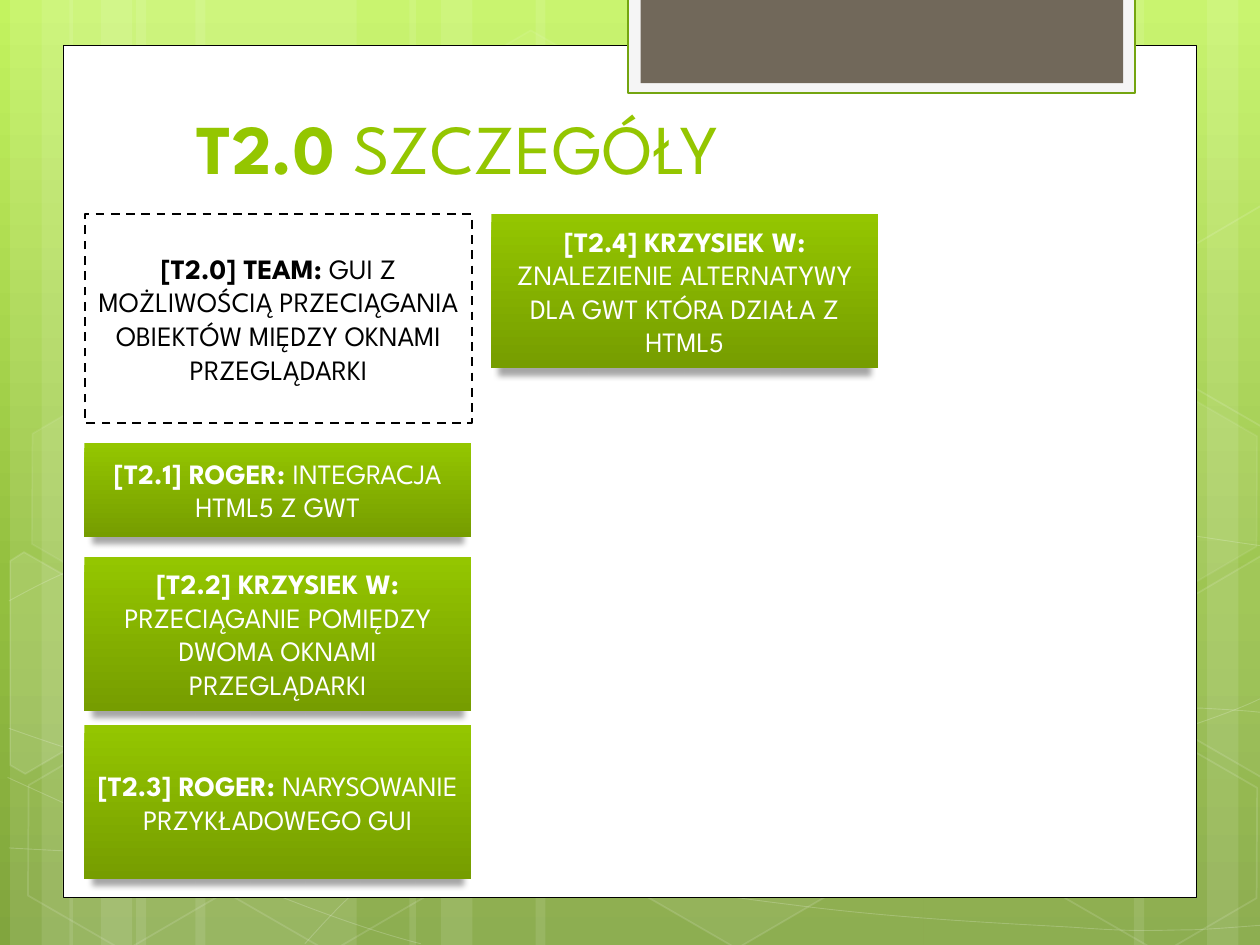
from dataclasses import dataclass
from math import cos, radians, sin
from lxml.etree import SubElement
from pptx import Presentation
from pptx.dml.color import RGBColor as RGB
from pptx.enum.dml import MSO_LINE_DASH_STYLE as DASH
from pptx.enum.shapes import MSO_SHAPE as SHAPE
from pptx.enum.text import MSO_ANCHOR as ANCHOR, MSO_AUTO_SIZE as AUTO, PP_ALIGN as ALIGN
from pptx.oxml.ns import qn
from pptx.util import Inches, Pt

COLORS = {"white": "FFFFFF", "black": "000000", "lime": "94C600", "moss": "769D00",
          "edge": "74A510", "tab": "F5F5F5", "stone": "71685A",
          "sky": "C3F35F", "leaf": "93BF3F", "grass": "81A53E"}
FONT = "League Spartan"
COLS, ROWS = 1000, 750  # the slide grid; every length below is in its cells
CELL = Inches(10) // COLS
TILT = 30


@dataclass
class Box:
    """A region of the slide, in grid cells."""
    x: float
    y: float
    w: float
    h: float

    def sub(self, x, y, w, h):
        """Return a box placed from this box's top left corner."""
        return Box(self.x + x, self.y + y, w, h)

    def emu(self):
        """Return left, top, width and height as lengths."""
        return [round(v * CELL) for v in (self.x, self.y, self.w, self.h)]


def paint(fill, color, alpha=None, holder=None):
    """Fill solidly; alpha is a percentage set on the colour found in holder."""
    fill.solid()
    fill.fore_color.rgb = RGB.from_string(COLORS[color])
    if alpha is not None:
        SubElement(holder.find(".//" + qn("a:srgbClr")), qn("a:alpha"), val=str(alpha * 1000))


def paint_gradient(fill, holder, stops):
    """Fill from top to bottom with (percent, colour) stops."""
    fill.gradient()
    fill.gradient_angle = 270
    gs_list = holder.find(".//" + qn("a:gsLst"))
    for gs in list(gs_list):
        gs_list.remove(gs)
    for pos, color in stops:
        gs = SubElement(gs_list, qn("a:gs"), pos=str(pos * 1000))
        SubElement(gs, qn("a:srgbClr"), val=COLORS[color])


def style(sp, fill=None, alpha=None, line=None, width=1, line_alpha=None):
    """Give a shape its plain fill and line, without a shadow."""
    sp.shadow.inherit = False
    if fill:
        paint(sp.fill, fill, alpha, sp.element.spPr)
    else:
        sp.fill.background()
    if line:
        sp.line.width = Pt(width)
        paint(sp.line.fill, line, line_alpha, sp.element.spPr.find(qn("a:ln")))
    else:
        sp.line.fill.background()
    return sp


def add_block(s, box, kind=SHAPE.RECTANGLE, **look):
    """Add a preset shape that fills the box."""
    return style(s.shapes.add_shape(kind, *box.emu()), **look)


def add_outline(s, box, points, close, **look):
    """Add a freeform through points given from the box's corner."""
    pts = [((box.x + x) * CELL, (box.y + y) * CELL) for x, y in points]
    fb = s.shapes.build_freeform(*pts[0], scale=1.0)
    fb.add_line_segments(pts[1:], close=close)
    return style(fb.convert_to_shape(), **look)


def bend(sp, straight):
    """Join each three points into a Bezier arc; the arc numbered straight stays a line."""
    lines = sp.element.findall(".//" + qn("a:lnTo"))
    arc = 0
    while lines:
        n = 1 if arc == straight else 3
        part, lines, arc = lines[:n], lines[n:], arc + 1
        if n == 3:
            curve = SubElement(part[0].getparent(), qn("a:cubicBezTo"))
            part[0].addprevious(curve)
            for ln in part:
                curve.append(ln[0])
                ln.getparent().remove(ln)


def add_stripes(s, box):
    """Pale vertical bands over the whole height."""
    bands = [(base + dx, w) for base, wide in ((8, 175), (55, 175), (325, 308))
             for dx, w in ((100, wide), (0, 50), (25, 83))]
    for x, w in bands + [(733, 175), (958, 50), (900, 83)]:
        add_block(s, box.sub(x, 0, w, box.h), fill="white", alpha=10)


def add_waves(s, box):
    """Thin curved lines across the background: points, number of a straight part."""
    waves = [
        ([(7, 673), (61, 676), (115, 679), (190, 678), (265, 677), (358, 675), (458, 665),
          (558, 655), (700, 636), (792, 617), (883, 598), (977, 568), (1007, 551)], None),
        ([(7, 477), (36, 461), (65, 446), (121, 431), (178, 416), (259, 394), (347, 387),
          (436, 380), (544, 379), (654, 387), (764, 395), (947, 426), (1007, 434)], None),
        ([(6, 617), (127, 672), (247, 727), (334, 749)], None),
        ([(7, 578), (38, 589), (70, 600), (128, 616), (186, 631), (273, 656), (357, 673),
          (440, 690), (545, 708), (628, 718), (711, 729), (800, 733), (853, 736),
          (905, 740), (919, 738), (945, 738), (971, 737), (989, 735), (1007, 734)], None),
        ([(242, 749), (260, 729), (278, 709), (302, 691), (326, 673), (360, 653), (388, 639),
          (416, 625), (433, 619), (470, 609), (506, 599), (573, 585), (608, 578),
          (644, 571), (649, 571), (680, 569), (711, 566), (760, 563), (794, 562),
          (829, 561), (886, 562), (886, 562), (953, 562),
          (971, 563), (988, 564), (997, 565), (1006, 566), (1003, 565), (1006, 566)], 7)]
    for points, straight in waves:
        bend(add_outline(s, box, points, False, line="white", width=0.5, line_alpha=20), straight)


def untilt(points, cx, cy):
    """Turn points back by the tilt around a centre."""
    c, d = cos(radians(TILT)), sin(radians(TILT))
    return [(cx + (x - cx) * c + (y - cy) * d, cy - (x - cx) * d + (y - cy) * c) for x, y in points]


def add_hexagons(s, box):
    """Faint tilted hexagons, whole ones and ones cut at the slide's sides."""
    left = [(8, 445), (19, 438), (96, 482), (95, 570), (20, 614), (8, 607)]
    right = [(926, 485), (1001, 441), (1009, 446), (1009, 613), (1002, 617), (926, 573)]
    upper = [(x, y - 278) for x, y in right]
    cut = {(36, 535): (left, 10), (985, 520): (right, 4), (985, 241): (upper, None)}

    def add_whole(rows):
        for x, y, alpha, line_alpha in rows:
            sp = add_block(s, box.sub(x, y, 175, 152), SHAPE.HEXAGON, fill=alpha and "white",
                           alpha=alpha, line="white", line_alpha=line_alpha)
            sp.rotation = TILT
            sp.adjustments[0], sp.adjustments[1] = 0.285, 1.155

    def add_cut(centres):
        for centre in centres:
            points, alpha = cut[centre]
            add_outline(s, box, untilt(points, *centre), True, fill=alpha and "white",
                        alpha=alpha, line="white", line_alpha=12).rotation = TILT

    add_whole([(334, 36, 4, 8), (497, 589, 6, 12)])
    add_cut([(36, 535)])
    add_whole([(11, 591, None, 12), (14, 312, 7, 8), (174, 592, None, 12),
               (753, 453, 10, 12), (834, 593, None, 12), (834, 314, 7, 8)])
    add_cut([(985, 520), (985, 241)])


def add_panel(s, box):
    """White page with the tab that hangs over its top edge."""
    add_block(s, box, fill="white", line="black", width=0.5)
    add_block(s, box.sub(448.5, -38, 402, 76), fill="tab", line="edge", width=1.25)
    add_block(s, box.sub(458.4, -38, 383, 68), fill="stone")


def write(tf, lead, rest, size, color, align, anchor):
    """Write a bold lead and a regular rest in one paragraph."""
    for name, value in {"word_wrap": True, "auto_size": AUTO.NONE, "vertical_anchor": anchor}.items():
        setattr(tf, name, value)
    p = tf.paragraphs[0]
    p.alignment = align
    for text, bold in ((lead + " ", True), (rest, False)):
        r = p.add_run()
        r.text = text
        for name, value in {"name": FONT, "size": Pt(size), "bold": bold}.items():
            setattr(r.font, name, value)
        r.font.color.rgb = RGB.from_string(COLORS[color])


def add_title(s, box, lead, rest):
    """Place the title placeholder in the box."""
    sp = s.shapes.title
    sp.left, sp.top, sp.width, sp.height = box.emu()
    write(sp.text_frame, lead, rest, 40, "lime", ALIGN.LEFT, ANCHOR.BOTTOM)


def add_card(s, box, lead, rest, dashed=False):
    """Task card: dashed white for the summary, green with a shadow for a task."""
    if dashed:
        sp = add_block(s, box, fill="white", line="black", width=1.25)
        sp.line.dash_style = DASH.DASH
    else:
        sp = add_block(s, box)
        paint_gradient(sp.fill, sp.element.spPr, ((0, "lime"), (100, "moss")))
        shadow = SubElement(sp.element.spPr.find(qn("a:effectLst")), qn("a:outerShdw"),
                            blurRad=str(Pt(3.5)), dist=str(Pt(4)), dir="5400000",
                            sx="96000", sy="96000", algn="b", rotWithShape="0")
        SubElement(SubElement(shadow, qn("a:srgbClr"), val=COLORS["black"]), qn("a:alpha"), val="34000")
    write(sp.text_frame, lead, rest, 16, "black" if dashed else "white", ALIGN.CENTER, ANCHOR.MIDDLE)


def add_board(s, box):
    """Task cards in columns: column, top, height, lead, rest."""
    cards = [(0, 0, 165.6, "[T2.0] TEAM:", "GUI Z MOŻLIWOŚCIĄ PRZECIĄGANIA OBIEKTÓW MIĘDZY OKNAMI PRZEGLĄDARKI"),
             (0, 181.5, 74.5, "[T2.1] ROGER:", "INTEGRACJA HTML5 Z GWT"),
             (0, 272, 122, "[T2.2] KRZYSIEK W:", "PRZECIĄGANIE POMIĘDZY DWOMA OKNAMI PRZEGLĄDARKI"),
             (0, 405.6, 122, "[T2.3] ROGER:", "NARYSOWANIE PRZYKŁADOWEGO GUI"),
             (1, 0, 122.3, "[T2.4] KRZYSIEK W:", "ZNALEZIENIE ALTERNATYWY DLA GWT KTÓRA DZIAŁA Z HTML5")]
    for i, (col, top, h, lead, rest) in enumerate(cards):
        add_card(s, box.sub(col * 323 + (i == 0) * 0.6, top, 307, h), lead, rest, dashed=i == 0)


def build_master(master, s, page, panel):
    """Draw the backdrop and panel with the slide's tools and hand them to the master."""
    paint_gradient(master.background.fill, master.element, ((0, "sky"), (62, "leaf"), (100, "grass")))
    group = s.shapes.add_group_shape()
    for add_layer in (add_stripes, add_waves, add_hexagons):
        add_layer(group, page)
    add_panel(s, panel)
    first = master.shapes[0].element
    for sp in [sp for sp in s.shapes if not sp.is_placeholder]:
        first.addprevious(sp.element)


def build_slide(prs):
    """Details slide: master backdrop, title and board."""
    s = prs.slides.add_slide(prs.slide_layouts[5])
    panel = Box(50, 36, 900, 676.5)
    build_master(prs.slide_master, s, Box(0, 0, COLS, ROWS), panel)
    add_title(s, panel.sub(96, 40, 768, 79), "T2.0", "SZCZEGÓŁY")
    add_board(s, panel.sub(17, 134, 630, 528))


prs = Presentation()
prs.slide_width, prs.slide_height = COLS * CELL, ROWS * CELL
build_slide(prs)
prs.save("out.pptx")
